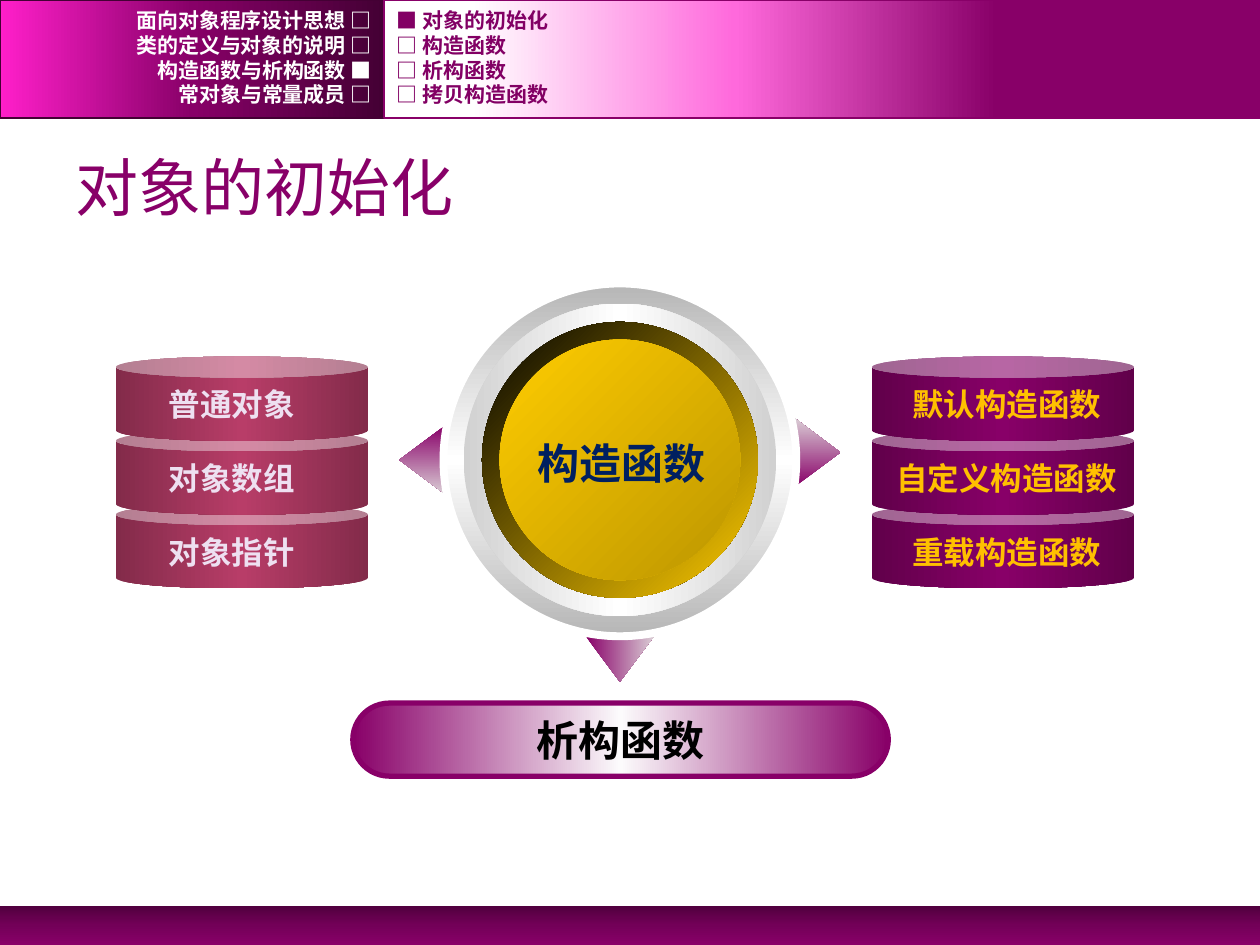
from dataclasses import dataclass

from lxml import etree
from pptx import Presentation
from pptx.dml.color import RGBColor
from pptx.enum.shapes import MSO_SHAPE
from pptx.enum.text import MSO_ANCHOR, MSO_AUTO_SIZE, PP_ALIGN
from pptx.oxml import parse_xml
from pptx.oxml.ns import nsdecls, qn
from pptx.util import Inches, Pt

RECT, OVAL, CAN = MSO_SHAPE.RECTANGLE, MSO_SHAPE.OVAL, MSO_SHAPE.CAN
ARROW, PILL = MSO_SHAPE.UP_ARROW, MSO_SHAPE.ROUNDED_RECTANGLE
LEFT, CENTER, RIGHT = PP_ALIGN.LEFT, PP_ALIGN.CENTER, PP_ALIGN.RIGHT
TOP, MIDDLE = MSO_ANCHOR.TOP, MSO_ANCHOR.MIDDLE
NO_RESIZE, GROW = MSO_AUTO_SIZE.NONE, MSO_AUTO_SIZE.SHAPE_TO_FIT_TEXT


@dataclass(frozen=True)
class Theme:
    purple: str = "880068"
    dark: str = "440034"
    magenta: str = "FF1FCA"
    pink: str = "FF69DC"
    pale: str = "DACDD5"
    pearl: str = "FCFBFC"
    rose: str = "B83D68"
    gold: str = "FFCC00"
    white: str = "FFFFFF"
    black: str = "000000"
    navy: str = "002060"
    lilac: str = "EEE0F1"
    amber: str = "FFC000"
    menu: str = "820064"
    heading_font: str = "Arial"
    menu_font: str = "Courier New"
    body_font: str = "Noto Sans CJK SC"
    heading_size: int = 36
    hub_size: int = 24
    label_size: int = 18
    menu_size: int = 12


T = Theme()


def set_gradient(sp, stops, angle):
    """Fill with (position %, colour[, shade %]) stops; angle runs clockwise."""
    grad = parse_xml(f'<a:gradFill {nsdecls("a")} rotWithShape="1"><a:gsLst/>'
                     f'<a:lin ang="{angle * 60000}" scaled="0"/></a:gradFill>')
    for pos, color, *shade in stops:
        gs = etree.SubElement(grad[0], qn("a:gs"), pos=str(pos * 1000))
        clr = etree.SubElement(gs, qn("a:srgbClr"), val=color)
        for value in shade:
            etree.SubElement(clr, qn("a:shade"), val=str(int(value * 1000)))
    sp._element.spPr.find(qn("a:prstGeom")).addnext(grad)


def mirrored(edge, middle):
    return [(0, *edge), (50, *middle), (100, *edge)]


def add_shape(s, kind, box, stops, angle, line=None, width=1, adj=()):
    sp = s.shapes.add_shape(kind, *map(Inches, box))
    sp.shadow.inherit = False
    for i, value in enumerate(adj):
        sp.adjustments[i] = value
    if line:
        sp.line.color.rgb = RGBColor.from_string(line)
        sp.line.width = Pt(width)
    else:
        sp.line.fill.background()
    set_gradient(sp, stops, angle)
    return sp


def write(tf, text, size, color, font, align=LEFT, anchor=MIDDLE, wrap=True, bold=True):
    tf.word_wrap = wrap
    tf.vertical_anchor = anchor
    p = tf.paragraphs[0]
    p.alignment = align
    r = p.add_run()
    r.text = text
    r.font.size, r.font.bold, r.font.name = Pt(size), bold, font
    r.font.color.rgb = RGBColor.from_string(color)
    r.font._element.find(qn("a:latin")).addnext(
        parse_xml(f'<a:ea {nsdecls("a")} typeface="{T.body_font}"/>'))


def add_text(s, box, text, size, color, font, auto_size=NO_RESIZE, **style):
    tf = s.shapes.add_textbox(*map(Inches, box)).text_frame
    write(tf, text, size, color, font, **style)
    tf.auto_size = auto_size


def add_label(s, cx, y, h, text, size, color):
    """Unwrapped label centred on cx, one em per character plus insets."""
    w = len(text) * size / 72 + 0.2
    add_text(s, (cx - w / 2, y, w, h), text, size, color, T.body_font,
             auto_size=GROW, align=CENTER, anchor=TOP, wrap=False)


def add_menu(s, box, items, stops, line, color, align, text_w):
    x, y, w, h = box
    add_shape(s, RECT, box, stops, 180, line)
    for i, item in enumerate(items):
        add_text(s, (x, y + 0.06 + i * 0.197, text_w, 0.2), item,
                 T.menu_size, color, T.menu_font, align=align)


def add_title(s, box, text):
    title = s.shapes.title
    title.left, title.top, title.width, title.height = map(Inches, box)
    write(title.text_frame, text, T.heading_size, T.purple, T.heading_font, bold=False)


def add_hub(s, box, text):
    x, y, w, h = box
    cx, cy = x + w / 2, y + h / 2
    # Pointers to the left, right and bottom
    for px, py, turn in ((3.35, 3.65, 270), (6.49, 3.59, 90), (4.92, 5.23, 180)):
        arrow = add_shape(s, ARROW, (px - 0.27, py - 0.18, 0.54, 0.36),
                          [(0, T.purple), (100, T.pale)], 0, adj=(0.52, 1))
        arrow.rotation = turn
        arrow._element.spPr.find(qn("a:xfrm")).set("flipH", "1")
    # Concentric discs, outermost first
    discs = (
        (w, mirrored((T.white, 46.28), (T.white,)), 90, T.white),
        (2.48, mirrored((T.white, 63.53), (T.white,)), 0, None),
        (2.19, [(0, T.black), (100, T.gold)], 45, None),
        (1.91, [(0, T.gold), (100, T.gold, 50)], 45, None),
    )
    for d, stops, angle, line in discs:
        add_shape(s, OVAL, (cx - d / 2, cy - d / 2, d, d), stops, angle, line, 4.5)
    add_label(s, cx + 0.01, cy - 0.23, 0.5, text, T.hub_size, T.navy)


def add_can_stack(s, box, labels, label_cx, fill, color):
    x, y, w, h = box
    can_h = 0.67
    pitch = (h - can_h) / (len(labels) - 1)
    # Lowest can first, so that each one rests on the next
    for i in reversed(range(len(labels))):
        add_shape(s, CAN, (x, y + i * pitch, w, can_h),
                  mirrored((fill, 46.28), (fill,)), 0, adj=(0.25,))
    for i, label in enumerate(labels):
        add_label(s, label_cx, y + 0.18 + i * pitch, 0.4, label, T.label_size, color)


def add_pill(s, box, text):
    sp = add_shape(s, PILL, box, mirrored((T.purple,), (T.pearl,)), 0,
                   T.purple, 3, adj=(0.5,))
    write(sp.text_frame, text, T.hub_size, T.black, T.body_font,
          align=CENTER, wrap=False)


def main():
    prs = Presentation()
    prs.slide_width, prs.slide_height = Inches(10), Inches(7.5)
    s = prs.slides.add_slide(prs.slide_layouts[5])

    # Footer band
    add_shape(s, RECT, (0, 7.19, 10, 0.31),
              [(0, "51003E"), (50, "730058"), (100, T.purple)], 90)

    # Chapter and section menus
    add_menu(s, (0, 0, 3.05, 0.94),
             ["面向对象程序设计思想 □", "类的定义与对象的说明 □",
              "构造函数与析构函数 ■", "常对象与常量成员 □"],
             [(0, T.dark), (50, T.purple), (100, T.magenta)],
             T.dark, T.white, RIGHT, 3.05)
    add_menu(s, (3.05, 0, 6.95, 0.94),
             ["■ 对象的初始化", "□ 构造函数", "□ 析构函数", "□ 拷贝构造函数"],
             [(30, T.purple), (60, T.pink), (90, T.white)],
             T.purple, T.menu, LEFT, 6.02)

    # Title and diagram
    add_title(s, (0.5, 1.09, 9, 0.78), "对象的初始化")
    add_hub(s, (3.52, 2.25, 2.8, 2.8), "构造函数")
    add_can_stack(s, (0.92, 2.83, 2, 1.84), ["普通对象", "对象数组", "对象指针"],
                  1.84, T.rose, T.lilac)
    add_can_stack(s, (6.92, 2.83, 2.08, 1.84),
                  ["默认构造函数", "自定义构造函数", "重载构造函数"],
                  7.99, T.purple, T.amber)
    add_pill(s, (2.8, 5.58, 4.25, 0.58), "析构函数")

    prs.save("out.pptx")


if __name__ == "__main__":
    main()
